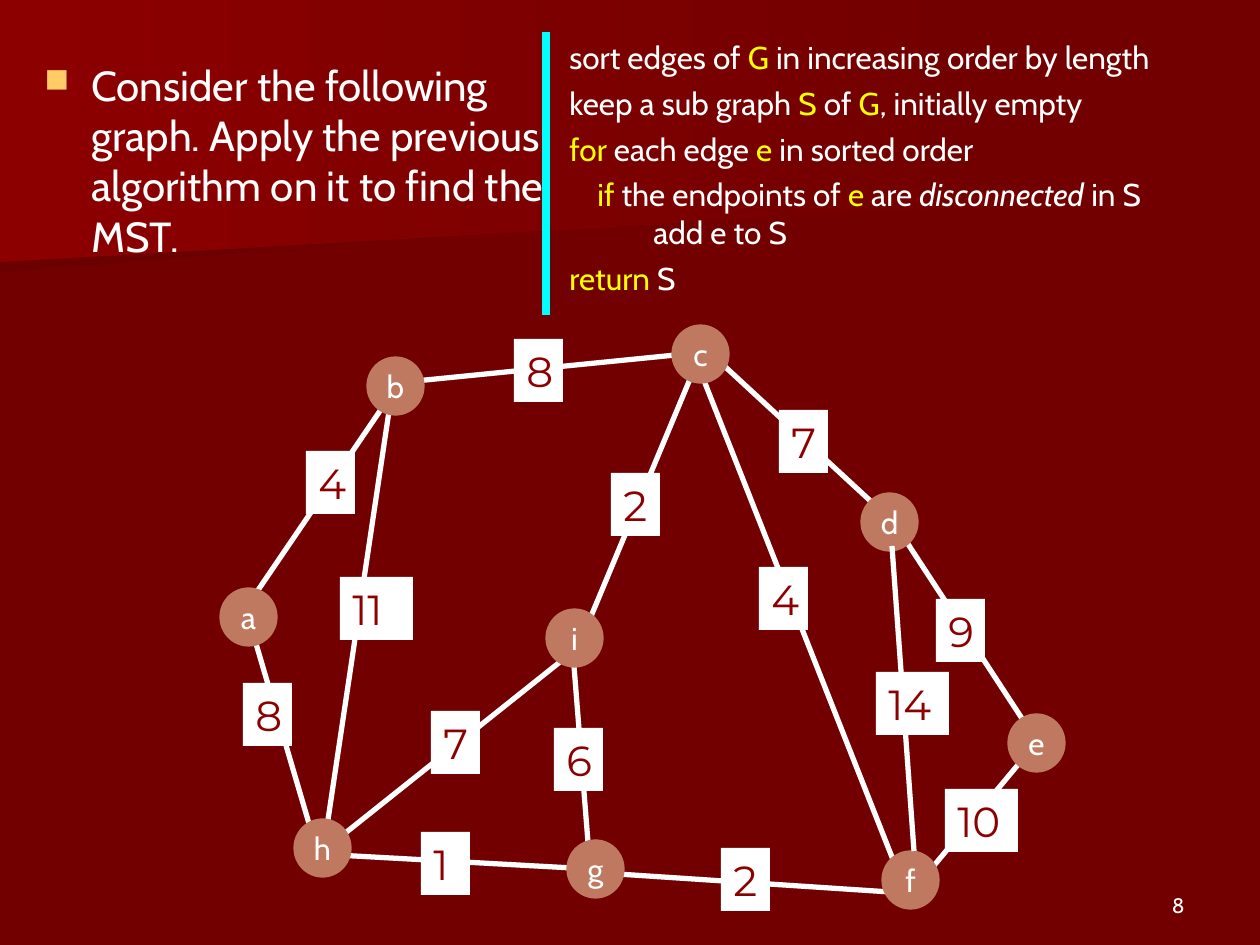
from lxml import etree
from pptx import Presentation
from pptx import util as u
from pptx.dml.color import RGBColor
from pptx.enum import shapes, text
from pptx.oxml import ns

SCALE = 914400 / 126
MAROON = RGBColor(0x72, 0x00, 0x00)
DARK_MAROON = RGBColor(0x6B, 0x00, 0x00)
RED = RGBColor(0x8C, 0x00, 0x00)
CLAY = RGBColor(0xBE, 0x79, 0x60)
WHITE = RGBColor(0xFF, 0xFF, 0xFF)
YELLOW = RGBColor(0xFF, 0xFF, 0x00)
CYAN = RGBColor(0x00, 0xFF, 0xFF)
AMBER = RGBColor(0xFF, 0xCC, 0x66)
BODY_FONT, LABEL_FONT = "Cabin", "Montserrat"

BANDS = [
    (DARK_MAROON, [(980, 193), (0, 273), (0, 127), (982, 127), (980, 161)]),
    (RED, [(998, 204), (0, 262), (0, 0), (998, 0)]),
]
ALGORITHM = [
    (0, [("sort edges of ", WHITE), ("G", YELLOW), (" in increasing order by length", WHITE)]),
    (0, [("keep a sub graph ", WHITE), ("S", YELLOW), (" of ", WHITE), ("G", YELLOW),
         (", initially empty", WHITE)]),
    (0, [("for", YELLOW), (" each edge ", WHITE), ("e", YELLOW), (" in sorted order", WHITE)]),
    (28, [("if", YELLOW), (" the endpoints of ", WHITE), ("e", YELLOW), (" are ", WHITE),
          ("disconnected", WHITE), (" in S", WHITE), ("\n", WHITE), ("add e to S", WHITE)]),
    (0, [("return", YELLOW), (" S", WHITE)]),
]
NODES = {
    "a": (20, 288), "b": (167, 57), "c": (472, 25), "d": (661, 193), "e": (808, 414),
    "f": (682, 551), "g": (367, 540), "h": (94, 519), "i": (346, 309),
}
EDGES = [
    ((390, 567), (373, 353), "6", (354, 428)),
    ((118, 554), (52, 330), "8", (43, 383)),
    ((125, 540), (194, 78), "11", (140, 277)),
    ((707, 595), (503, 78), "4", (559, 267)),
    ((838, 443), (691, 218), "9", (736, 299)),
    ((387, 572), (705, 593), "2", (521, 548)),
    ((52, 299), (199, 83), "4", (106, 151)),
    ((707, 598), (837, 442), "10", (745, 489)),
    ((503, 48), (377, 350), "2", (411, 173)),
    ((118, 554), (390, 569), "1", (221, 532)),
    ((690, 219), (507, 50), "7", (579, 110)),
    ((196, 83), (506, 52), "8", (314, 39)),
    ((114, 558), (375, 350), "7", (231, 411)),
]
FRONT_EDGE = ((714, 551), (692, 246), "14", (676, 372))


def px(length):
    """Turn a length in px into EMU."""
    return u.Emu(round(length * SCALE))


def add_run(paragraph, words, size, color, font=BODY_FONT):
    """Append one styled run to a paragraph and return it."""
    run = paragraph.add_run()
    run.text = words
    run.font.size, run.font.name = u.Pt(size), font
    run.font.color.rgb = color
    return run


def add_text_box(slide, box):
    """Add a wrapping text box and return its text frame."""
    frame = slide.shapes.add_textbox(*map(px, box)).text_frame
    frame.word_wrap = True
    return frame


def add_line(slide, start, end, color, width):
    """Draw a straight line without shadow."""
    line = slide.shapes.add_connector(
        shapes.MSO_CONNECTOR.STRAIGHT, *map(px, (*start, *end)))
    line.line.color.rgb, line.line.width = color, u.Pt(width)
    etree.SubElement(line._element.spPr, ns.qn("a:effectLst"))


def add_shape(slide, kind, box, color):
    """Add a plain filled preset shape with unwrapped text."""
    shape = slide.shapes.add_shape(kind, *map(px, box))
    shape.shadow.inherit = False
    shape.fill.solid()
    shape.fill.fore_color.rgb = color
    shape.line.fill.background()
    shape.text_frame.word_wrap = False
    return shape


def set_indent(paragraph, margin, first):
    """Set the left margin and the first-line indent of a paragraph."""
    properties = paragraph._p.get_or_add_pPr()
    properties.set("marL", str(px(margin)))
    properties.set("indent", str(px(first)))
    return properties


def add_backdrop(slide, box):
    """Fill the background and lay the two gradient bands over it."""
    slide.background.fill.solid()
    slide.background.fill.fore_color.rgb = MAROON
    for color, points in BANDS:
        builder = slide.shapes.build_freeform(*points[0], scale=SCALE)
        builder.add_line_segments(points[1:], close=True)
        band = builder.convert_to_shape(px(box[0]), px(box[1]))
        band.shadow.inherit = False
        band.line.fill.background()
        band.fill.gradient()
        band.fill.gradient_angle = 0
        for stop, stop_color in zip(band.fill.gradient_stops, (color, MAROON)):
            stop.color.rgb = stop_color


def add_task(slide, box):
    """Write the bulleted task."""
    paragraph = add_text_box(slide, box).paragraphs[0]
    paragraph.space_before = u.Pt(6)
    properties = set_indent(paragraph, 47, -47)
    bullet_color = etree.SubElement(properties, ns.qn("a:buClr"))
    etree.SubElement(bullet_color, ns.qn("a:srgbClr"), val=str(AMBER))
    etree.SubElement(properties, ns.qn("a:buSzPct"), val="80000")
    etree.SubElement(properties, ns.qn("a:buChar"), char="■")
    add_run(paragraph, "Consider the following graph. Apply the previous algorithm "
            "on it to find the MST.", 24, WHITE)


def add_algorithm(slide, box):
    """Write the algorithm with its dividing line on the left."""
    left, top, _, _ = box
    frame = add_text_box(slide, box)
    for index, (offset, runs) in enumerate(ALGORITHM):
        paragraph = frame.add_paragraph() if index else frame.paragraphs[0]
        paragraph.space_before = u.Pt(4.5)
        set_indent(paragraph, 84, offset - 84)
        for words, color in runs:
            if words == "\n":
                paragraph.add_line_break()
            else:
                run = add_run(paragraph, words, 18, color)
                run.font.italic = words == "disconnected"
    add_line(slide, (left - 11, top), (left - 11, top + 283), CYAN, 4.5)


def add_node(slide, name, left, top):
    """Add one round node with its letter."""
    node = add_shape(slide, shapes.MSO_SHAPE.OVAL, (left, top, 57, 58), CLAY)
    node.line.color.rgb, node.line.width = CLAY, u.Pt(0.75)
    node.text_frame.vertical_anchor = text.MSO_ANCHOR.MIDDLE
    paragraph = node.text_frame.paragraphs[0]
    paragraph.alignment = text.PP_ALIGN.CENTER
    add_run(paragraph, name, 18, WHITE)


def add_weight(slide, weight, left, top):
    """Add the white box holding an edge weight."""
    width = 25 + 24 * len(weight)
    label = add_shape(slide, shapes.MSO_SHAPE.RECTANGLE, (left, top, width, 63), WHITE)
    frame = label.text_frame
    frame.auto_size = text.MSO_AUTO_SIZE.SHAPE_TO_FIT_TEXT
    frame.vertical_anchor = text.MSO_ANCHOR.TOP
    frame.paragraphs[0].alignment = text.PP_ALIGN.LEFT
    add_run(frame.paragraphs[0], weight, 24, RED, LABEL_FONT)


def add_graph(slide, box):
    """Draw the weighted graph inside its box."""
    def place(point):
        return box[0] + point[0], box[1] + point[1]

    for start, end, _, _ in EDGES:
        add_line(slide, place(start), place(end), WHITE, 3)
    for name, corner in NODES.items():
        add_node(slide, name, *place(corner))
    add_line(slide, place(FRONT_EDGE[0]), place(FRONT_EDGE[1]), WHITE, 3)
    for _, _, weight, corner in [*EDGES, FRONT_EDGE]:
        add_weight(slide, weight, *place(corner))


def add_page_number(slide, box):
    """Write the page number at the bottom right."""
    frame = add_text_box(slide, box)
    frame.vertical_anchor = text.MSO_ANCHOR.BOTTOM
    frame.paragraphs[0].alignment = text.PP_ALIGN.RIGHT
    add_run(frame.paragraphs[0], "8", 12, WHITE)


def main():
    """Build and save the slide."""
    presentation = Presentation()
    presentation.slide_width, presentation.slide_height = px(1260), px(945)
    slide = presentation.slides.add_slide(presentation.slide_layouts[6])
    add_backdrop(slide, (0, 0, 1260, 945))
    add_page_number(slide, (903, 861, 294, 63))
    add_task(slide, (32, 53, 546, 273))
    add_graph(slide, (200, 300, 870, 615))
    add_algorithm(slide, (557, 32, 662, 273))
    presentation.save("out.pptx")


if __name__ == "__main__":
    main()
